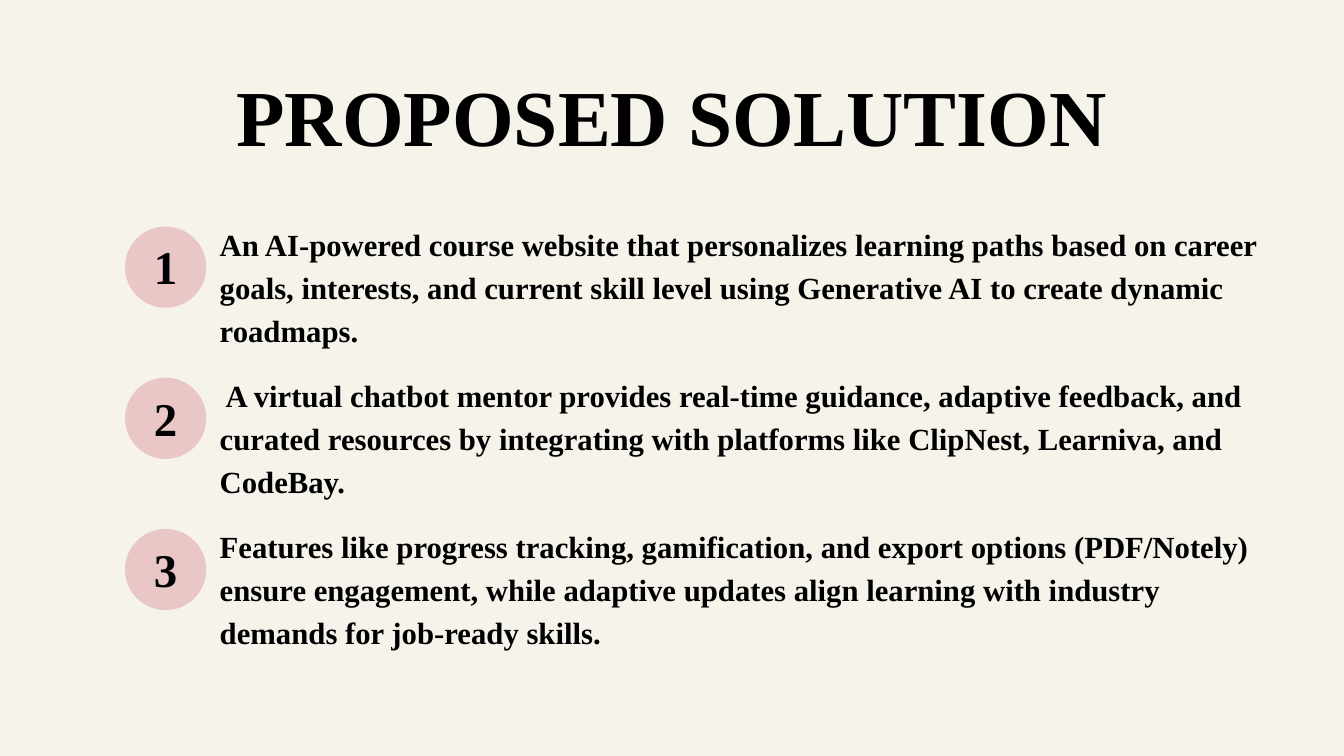
from dataclasses import dataclass

from pptx import Presentation
from pptx.dml.color import RGBColor
from pptx.enum.shapes import MSO_SHAPE
from pptx.enum.text import MSO_AUTO_SIZE, PP_ALIGN
from pptx.slide import Slide
from pptx.util import Inches, Pt

BACKGROUND = "F6F3EB"
BADGE_PINK = "E9C7C6"
TEXT_BLACK = "000000"
FONT_NAME = "Times New Roman"
FIRST_ROW_TOP = 3.37
ROW_PITCH = 2.25
BADGE_LEFT = 1.86
BADGE_SIZE = 1.21


@dataclass(frozen=True)
class TextStyle:
    size: float
    line_spacing: float
    alignment: PP_ALIGN


TITLE_STYLE = TextStyle(85, 119, PP_ALIGN.CENTER)
NUMBER_STYLE = TextStyle(50.3, 70.5, PP_ALIGN.CENTER)
BODY_STYLE = TextStyle(32.9, 46, PP_ALIGN.LEFT)

SOLUTIONS = [
    "An AI-powered course website that personalizes learning paths based on career goals, "
    "interests, and current skill level using Generative AI to create dynamic roadmaps.",
    " A virtual chatbot mentor provides real-time guidance, adaptive feedback, and curated "
    "resources by integrating with platforms like ClipNest, Learniva, and CodeBay.",
    "Features like progress tracking, gamification, and export options (PDF/Notely) ensure "
    "engagement, while adaptive updates align learning with industry demands for "
    "job-ready skills.",
]


def color(value: str) -> RGBColor:
    """Turn a hex string into a colour."""
    return RGBColor.from_string(value)


def add_text(slide: Slide, text: str, left: float, top: float, width: float,
             height: float, style: TextStyle) -> None:
    """Add a bold text box without margins."""
    box = slide.shapes.add_textbox(Inches(left), Inches(top), Inches(width), Inches(height))
    text_frame = box.text_frame
    text_frame.margin_left = text_frame.margin_right = 0
    text_frame.margin_top = text_frame.margin_bottom = 0
    text_frame.word_wrap = True
    text_frame.auto_size = MSO_AUTO_SIZE.SHAPE_TO_FIT_TEXT
    text_frame.text = text
    paragraph = text_frame.paragraphs[0]
    paragraph.alignment = style.alignment
    paragraph.line_spacing = Pt(style.line_spacing)
    font = paragraph.runs[0].font
    font.name = FONT_NAME
    font.size = Pt(style.size)
    font.bold = True
    font.color.rgb = color(TEXT_BLACK)


def add_solution(slide: Slide, number: int, text: str) -> None:
    """Add one row: a numbered round badge and its text."""
    top = FIRST_ROW_TOP + (number - 1) * ROW_PITCH
    badge = slide.shapes.add_shape(MSO_SHAPE.OVAL, Inches(BADGE_LEFT), Inches(top),
                                   Inches(BADGE_SIZE), Inches(BADGE_SIZE))
    badge.shadow.inherit = False
    badge.fill.solid()
    badge.fill.fore_color.rgb = color(BADGE_PINK)
    badge.line.fill.background()
    add_text(slide, str(number), BADGE_LEFT, top + 0.03, BADGE_SIZE, 0.99, NUMBER_STYLE)
    add_text(slide, text, 3.27, top - 0.1, 15.57, 1.92, BODY_STYLE)


def main() -> None:
    """Build and save the proposed solution slide."""
    presentation = Presentation()
    presentation.slide_width = Inches(20)
    presentation.slide_height = Inches(11.25)
    slide = presentation.slides.add_slide(presentation.slide_layouts[6])
    slide.background.fill.solid()
    slide.background.fill.fore_color.rgb = color(BACKGROUND)
    add_text(slide, "PROPOSED SOLUTION", 1.12, 0.77, 17.75, 3.41, TITLE_STYLE)
    for number, text in enumerate(SOLUTIONS, start=1):
        add_solution(slide, number, text)
    presentation.save("out.pptx")


if __name__ == "__main__":
    main()
